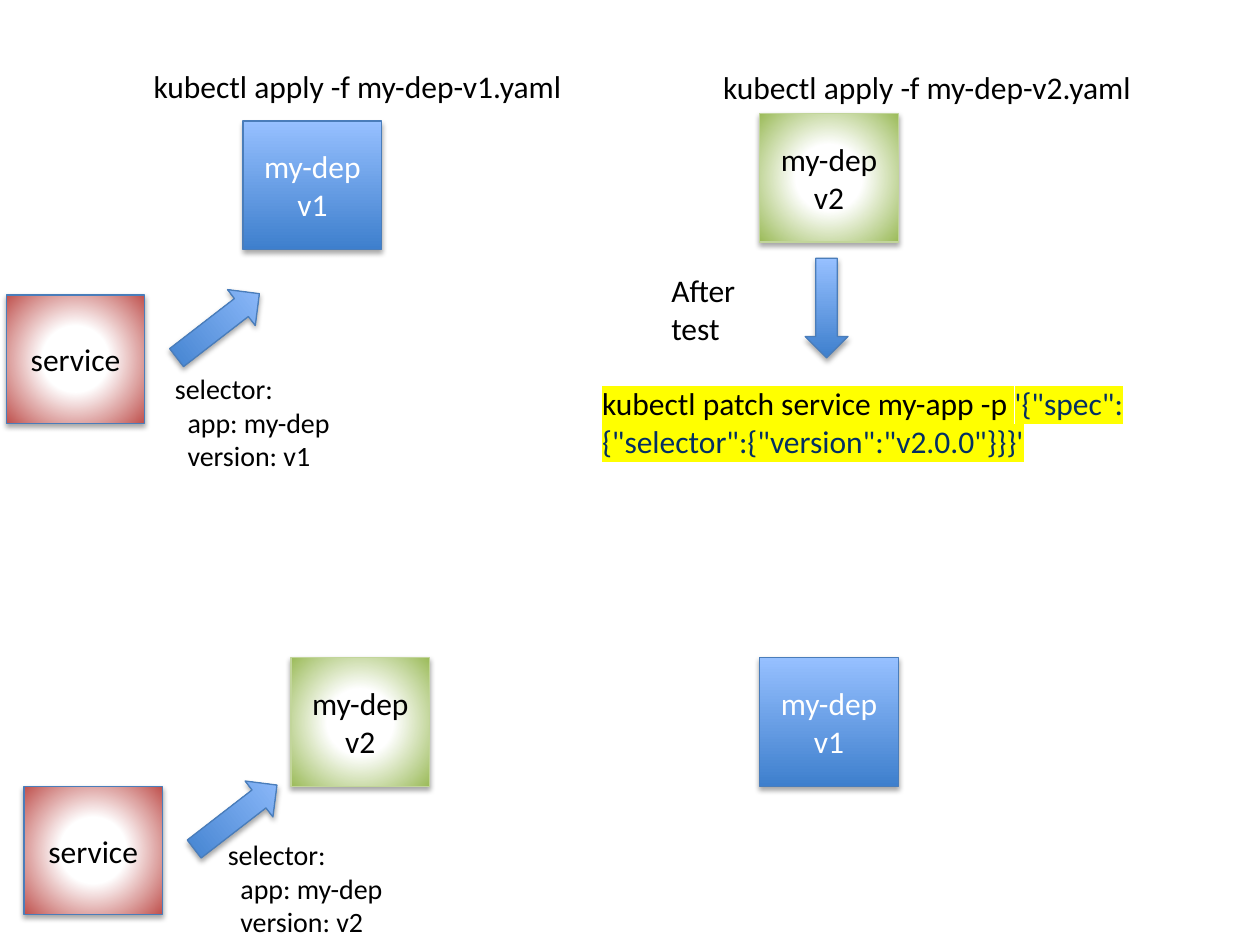
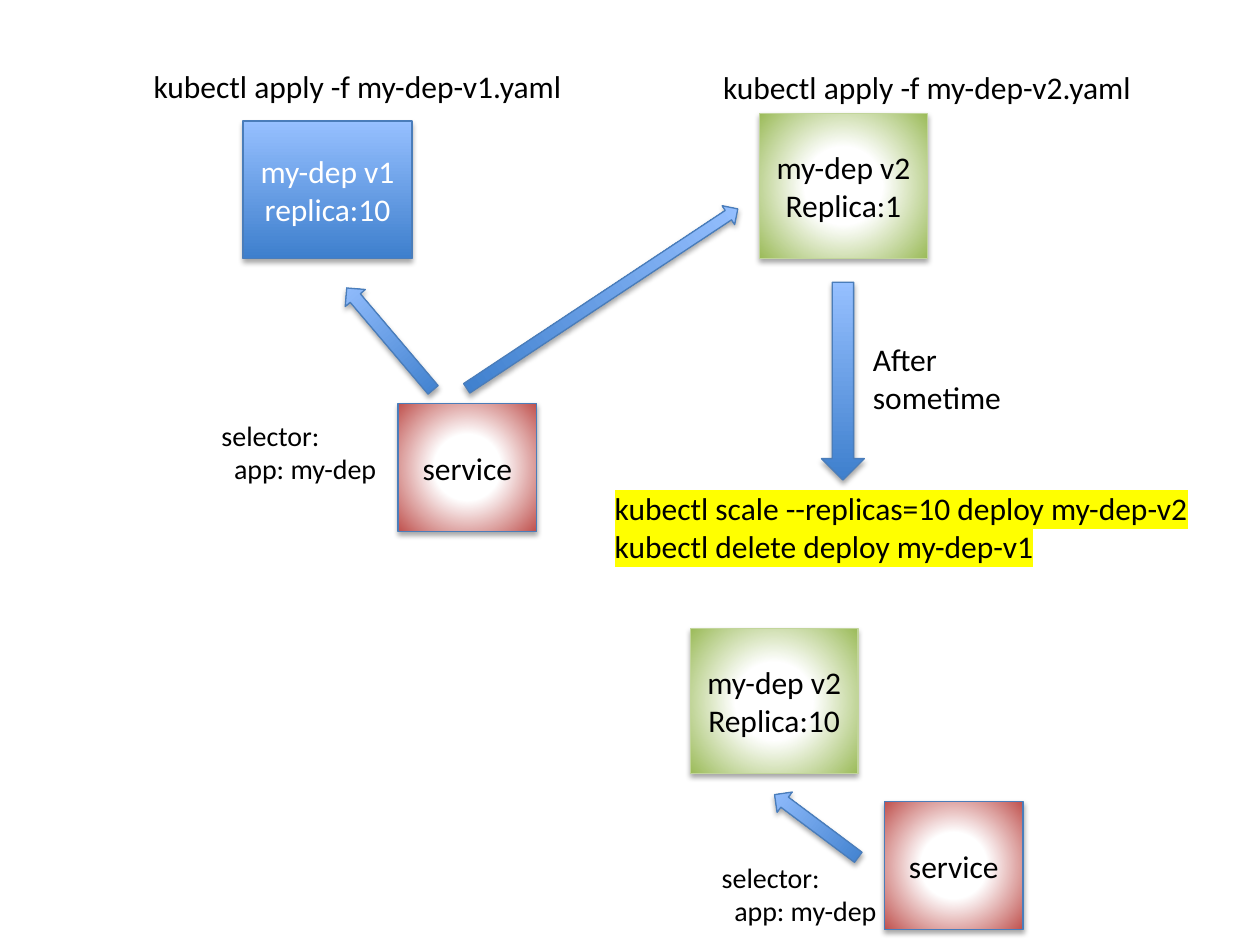
from lxml.etree import SubElement
from pptx import Presentation
from pptx.dml.color import RGBColor
from pptx.enum.shapes import MSO_SHAPE
from pptx.enum.text import MSO_ANCHOR, MSO_AUTO_SIZE, PP_ALIGN
from pptx.oxml import parse_xml
from pptx.oxml.ns import nsdecls, qn
from pptx.util import Inches, Pt

BLACK = RGBColor(0x00, 0x00, 0x00)
WHITE = RGBColor(0xFF, 0xFF, 0xFF)
NAVY = RGBColor(0x03, 0x2F, 0x62)
YELLOW = RGBColor(0xFF, 0xFF, 0x00)
BLUE_DARK = RGBColor(0x3E, 0x7F, 0xCD)
BLUE_LIGHT = RGBColor(0x96, 0xC0, 0xFF)
BLUE_LINE = RGBColor(0x4A, 0x7D, 0xBA)
GREEN = RGBColor(0x9B, 0xBB, 0x59)
GREEN_LINE = RGBColor(0xC2, 0xD5, 0x9B)
RED = RGBColor(0xBF, 0x50, 0x4D)

LINEAR = '<a:lin ang="16200000" scaled="0"/>'
RADIAL = ('<a:path path="circle"><a:fillToRect l="50000" t="50000" '
          'r="50000" b="50000"/></a:path>')
BLUE_STOPS = ((0, BLUE_DARK), (100, BLUE_LIGHT))


def glow_stops(edge):
    return ((0, WHITE), (35, WHITE), (100, edge))


BLUE_LOOK = {"stops": BLUE_STOPS, "direction": LINEAR, "line": BLUE_LINE, "text": WHITE}
GREEN_LOOK = {"stops": glow_stops(GREEN), "direction": RADIAL, "line": GREEN_LINE, "text": BLACK}
RED_LOOK = {"stops": glow_stops(RED), "direction": RADIAL, "line": BLUE_LINE, "text": BLACK}

SMALL_BOX = (1.1, 1.02)
GREEN_BOX = (1.33, 1.15)


def apply_format(target, values):
    for name, value in values.items():
        setattr(target, name, value)


class Diagram:
    font = "Calibri"

    def __init__(self, presentation):
        self.presentation = presentation
        self.slide = None

    def new_slide(self):
        self.slide = self.presentation.slides.add_slide(self.presentation.slide_layouts[6])

    def fill_text(self, frame, paragraphs, size=18, color=BLACK, align=None, highlight=None):
        for index, runs in enumerate(paragraphs):
            paragraph = frame.paragraphs[0] if index == 0 else frame.add_paragraph()
            paragraph.alignment = align
            if isinstance(runs, str):
                runs = [(runs, color)]
            for text, run_color in runs:
                run = paragraph.add_run()
                run.text = text
                apply_format(run.font, {"name": self.font, "size": Pt(size)})
                run.font.color.rgb = run_color
                if highlight:
                    self.highlight(run, highlight)

    def highlight(self, run, color):
        mark = parse_xml(f'<a:highlight {nsdecls("a")}><a:srgbClr val="{color}"/></a:highlight>')
        run.font._element.find(qn("a:solidFill")).addnext(mark)

    def paint(self, shape, look):
        stops = "".join(f'<a:gs pos="{position * 1000}"><a:srgbClr val="{color}"/></a:gs>'
                        for position, color in look["stops"])
        properties = shape._element.spPr
        properties.find(qn("a:prstGeom")).addnext(parse_xml(
            f'<a:gradFill {nsdecls("a")} rotWithShape="1"><a:gsLst>{stops}</a:gsLst>'
            f'{look["direction"]}</a:gradFill>'))
        shape.line.color.rgb = look["line"]
        shape.line.width = Pt(0.75)
        shape.shadow.inherit = False
        shadow = SubElement(properties.find(qn("a:effectLst")), qn("a:outerShdw"),
                            blurRad=str(Pt(3.1)), dist=str(Pt(1.8)), dir="5400000",
                            rotWithShape="0")
        shade = SubElement(shadow, qn("a:srgbClr"), val=str(BLACK))
        SubElement(shade, qn("a:alpha"), val="35000")

    def add_preset(self, preset, look, left, top, width, height):
        shape = self.slide.shapes.add_shape(
            preset, Inches(left), Inches(top), Inches(width), Inches(height))
        self.paint(shape, look)
        return shape

    def box(self, look, left, top, *lines, size=SMALL_BOX):
        shape = self.add_preset(MSO_SHAPE.RECTANGLE, look, left, top, *size)
        apply_format(shape.text_frame, {"word_wrap": True, "vertical_anchor": MSO_ANCHOR.MIDDLE})
        self.fill_text(shape.text_frame, lines, color=look["text"], align=PP_ALIGN.CENTER)

    def service(self, left, top):
        self.box(RED_LOOK, left, top, "service")

    def up_arrow(self, left, top, width, height, rotation):
        arrow = self.add_preset(MSO_SHAPE.UP_ARROW, BLUE_LOOK, left, top, width, height)
        arrow.rotation = rotation

    def down_arrow(self, left, top, height):
        self.add_preset(MSO_SHAPE.DOWN_ARROW, BLUE_LOOK, left, top, 0.34, height)

    def text(self, left, top, width, height, *paragraphs, **style):
        box = self.slide.shapes.add_textbox(
            Inches(left), Inches(top), Inches(width), Inches(height))
        apply_format(box.text_frame,
                     {"word_wrap": True, "auto_size": MSO_AUTO_SIZE.SHAPE_TO_FIT_TEXT})
        self.fill_text(box.text_frame, paragraphs, **style)

    def selector(self, left, top, *extra_lines):
        self.text(left, top, 1.44, 0.64 + 0.27 * len(extra_lines),
                  "selector:", "  app: my-dep", *extra_lines, size=16)

    def apply_commands(self):
        for version, left, top in ((1, 1.12, 0.48), (2, 5.64, 0.49)):
            self.text(left, top, 3.48, 0.4, f"kubectl apply -f my-dep-v{version}.yaml")


def build_blue_green(diagram):
    diagram.new_slide()
    diagram.apply_commands()
    for look, name, left, top in (
        (BLUE_LOOK, "my-dep v1", 1.93, 0.96),
        (GREEN_LOOK, "my-dep v2", 6.03, 0.9),
        (BLUE_LOOK, "my-dep v1", 6.03, 5.22),
        (GREEN_LOOK, "my-dep v2", 2.31, 5.22),
    ):
        diagram.box(look, left, top, name)
    for left, top in ((0.05, 2.34), (0.19, 6.24)):
        diagram.service(left, top)
        diagram.up_arrow(left + 1.5, top - 0.17, 0.36, 0.83, 52.3)
    diagram.selector(1.29, 2.9, "  version: v1")
    diagram.selector(1.71, 6.6, "  version: v2")
    diagram.text(5.23, 2.1, 0.93, 0.71, "After test")
    diagram.down_arrow(6.39, 2.05, 0.79)
    diagram.text(4.68, 3, 4.57, 0.71,
                 [("kubectl patch service my-app -p ", BLACK),
                  ("'{\"spec\":{\"selector\":{\"version\":\"v2.0.0\"}}}'", NAVY)],
                 highlight=YELLOW)


def build_canary(diagram):
    diagram.new_slide()
    diagram.apply_commands()
    diagram.box(BLUE_LOOK, 1.93, 0.96, "my-dep v1", "replica:10", size=(1.34, 1.09))
    diagram.box(GREEN_LOOK, 6.03, 0.9, "my-dep v2", "Replica:1", size=GREEN_BOX)
    diagram.box(GREEN_LOOK, 5.48, 4.99, "my-dep v2", "Replica:10", size=GREEN_BOX)
    diagram.service(3.16, 3.2)
    diagram.service(7.02, 6.36)
    diagram.selector(1.66, 3.27)
    diagram.selector(5.63, 6.78)
    for arrow in ((2.99, 2.16, 0.21, 1.06, 319.7),
                  (4.69, 1.08, 0.18, 2.58, 56.5),
                  (6.38, 6.14, 0.2, 0.83, 306.8)):
        diagram.up_arrow(*arrow)
    diagram.text(6.83, 2.65, 1.24, 0.71, "After sometime")
    diagram.down_arrow(6.52, 2.24, 1.57)
    diagram.text(4.78, 3.83, 4.89, 0.71,
                 "kubectl scale --replicas=10 deploy my-dep-v2",
                 "kubectl delete deploy my-dep-v1", highlight=YELLOW)


def main():
    presentation = Presentation()
    apply_format(presentation, {"slide_width": Inches(10), "slide_height": Inches(7.5)})
    diagram = Diagram(presentation)
    build_blue_green(diagram)
    build_canary(diagram)
    presentation.save("out.pptx")


if __name__ == "__main__":
    main()
